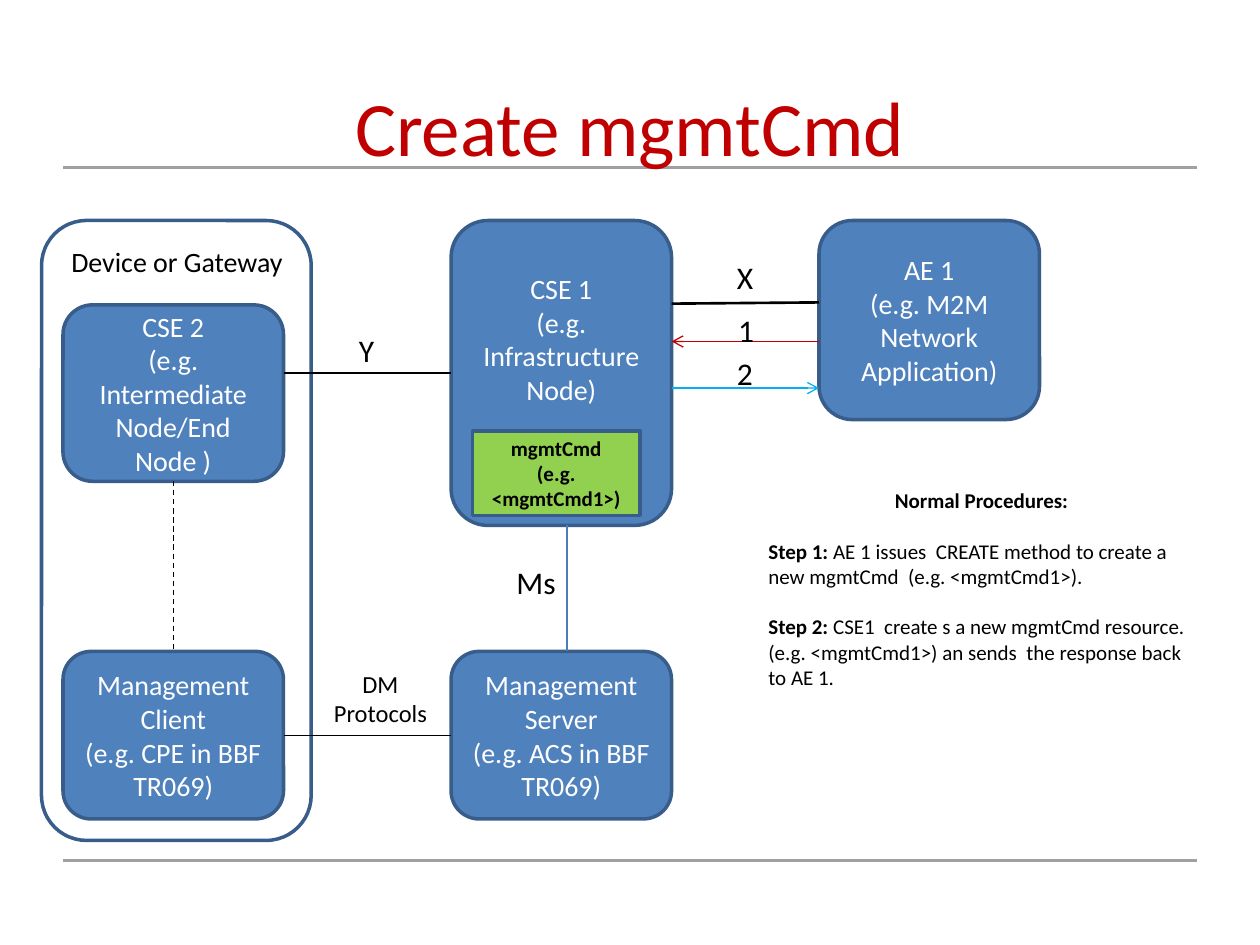
"""Build the Create mgmtCmd slide."""
from lxml.etree import SubElement
from pptx import Presentation
from pptx.dml.color import RGBColor
from pptx.enum.dml import MSO_LINE
from pptx.enum.shapes import MSO_CONNECTOR, MSO_SHAPE
from pptx.enum.text import MSO_ANCHOR, MSO_AUTO_SIZE, PP_ALIGN
from pptx.oxml.ns import qn
from pptx.util import Inches, Pt

HUES = {
    "gray": "A0A0A3", "red": "C00000", "blue": "4F81BD", "edge": "385D8A",
    "link": "4A7EBB", "cyan": "00B0F0", "green": "92D050",
    "black": "000000", "white": "FFFFFF",
}
INK = {name: RGBColor.from_string(code) for name, code in HUES.items()}
MID, LEFT = PP_ALIGN.CENTER, PP_ALIGN.LEFT


def write(frame, paras, size, hue, align=MID, bold=False):
    for i, text in enumerate(paras):
        para = frame.paragraphs[0] if i == 0 else frame.add_paragraph()
        para.alignment = align
        run = para.add_run()
        run.text = text
        look = {"name": "Calibri", "size": Pt(size), "bold": bold}
        for key, value in look.items():
            setattr(run.font, key, value)
        run.font.color.rgb = INK[hue]


def draw(x1, y1, x2, y2, hue, width, arrow=False):
    line = slide.shapes.add_connector(
        MSO_CONNECTOR.STRAIGHT, *map(Inches, (x1, y1, x2, y2)))
    line.line.color.rgb = INK[hue]
    line.line.width = Pt(width)
    if arrow:
        SubElement(line.line._get_or_add_ln(), qn("a:tailEnd"), type="arrow")
    SubElement(line._element.spPr, qn("a:effectLst"))
    return line


deck = Presentation()
deck.slide_width, deck.slide_height = Inches(10), Inches(7.5)
slide = deck.slides.add_slide(deck.slide_layouts[5])

title = slide.shapes.title
place = {"left": 0.5, "top": 0.58, "width": 9, "height": 1.25}
for key, value in place.items():
    setattr(title, key, Inches(value))
title.text_frame.vertical_anchor = MSO_ANCHOR.TOP
title.text_frame.auto_size = MSO_AUTO_SIZE.NONE
write(title.text_frame, ["Create mgmtCmd"], 44, "red")
for y in (6.83, 1.33):
    rule = draw(0.5, y, 9.5, y, "gray", 1.75)
    title._element.addprevious(rule._element)

ROUND, RECT = MSO_SHAPE.ROUNDED_RECTANGLE, MSO_SHAPE.RECTANGLE
nodes = {
    "cse2": (ROUND, 0.5, 2.42, 1.75, 1.4, "blue",
             ["CSE 2", "(e.g. Intermediate Node/End Node )"]),
    "cse1": (ROUND, 3.58, 1.75, 1.75, 2.42, "blue",
             ["CSE 1", "(e.g. Infrastructure Node)"]),
    "app": (ROUND, 6.5, 1.75, 1.75, 1.58, "blue",
            ["AE 1", "(e.g. M2M Network Application)"]),
    "server": (ROUND, 3.58, 5.17, 1.75, 1.33, "blue",
               ["Management Server", "(e.g. ACS in BBF TR069)"]),
    "client": (ROUND, 0.5, 5.17, 1.75, 1.33, "blue",
               ["Management Client", "(e.g. CPE in BBF TR069)"]),
    "device": (ROUND, 0.33, 1.75, 2.14, 4.92, None, []),
    "cmd": (RECT, 3.75, 3.42, 1.33, 0.67, "green",
            ["mgmtCmd", "(e.g. <mgmtCmd1>)"]),
}
box = {}
for name, (kind, x, y, w, h, fill, paras) in nodes.items():
    node = slide.shapes.add_shape(kind, *map(Inches, (x, y, w, h)))
    node.shadow.inherit = False
    node.line.color.rgb = INK["edge"]
    node.line.width = Pt(2)
    if fill:
        node.fill.solid()
        node.fill.fore_color.rgb = INK[fill]
    else:
        node.fill.background()
    if kind == ROUND:
        node.adjustments[0] = 0.167
        write(node.text_frame, paras, 16, "white")
    else:
        write(node.text_frame, paras, 12, "black", bold=True)
    box[name] = node
box["cse1"].text_frame.margin_bottom = Inches(0.59)

draw(2.25, 2.96, 3.58, 2.96, "black", 1.5).end_connect(box["cse1"], 1)
draw(5.33, 2.41, 6.5, 2.4, "black", 1.5)
draw(4.5, 4.17, 4.5, 5.17, "link", 0.75)
draw(6.5, 2.71, 5.33, 2.71, "red", 0.75, True)
draw(5.33, 3.08, 6.5, 3.08, "cyan", 0.75, True)
wire = draw(2.25, 5.83, 3.58, 5.83, "black", 0.75)
wire.begin_connect(box["client"], 3)
wire.end_connect(box["server"], 1)
dash = draw(1.38, 3.82, 1.38, 5.17, "black", 0.75)
dash.line.dash_style = MSO_LINE.DASH
dash.begin_connect(box["cse2"], 2)
dash.end_connect(box["client"], 0)

labels = [
    (2.75, 2.58, 0.32, 0.4, ["Y"], 18, LEFT),
    (5.75, 2, 0.33, 0.4, ["X"], 18, LEFT),
    (4, 4.42, 0.51, 0.4, ["Ms"], 18, LEFT),
    (2.55, 5.26, 0.94, 0.57, ["DM", "Protocols"], 14, MID),
    (0.46, 1.89, 1.89, 0.37, ["Device or Gateway"], 16, MID),
    (5.76, 2.42, 0.32, 0.4, ["1"], 18, LEFT),
    (5.75, 2.76, 0.32, 0.4, ["2"], 18, LEFT),
]
for x, y, w, h, paras, size, align in labels:
    frame = slide.shapes.add_textbox(*map(Inches, (x, y, w, h))).text_frame
    frame.word_wrap = False
    frame.auto_size = MSO_AUTO_SIZE.SHAPE_TO_FIT_TEXT
    write(frame, paras, size, "black", align)

steps = [
    ("Step 1:", " AE 1 issues  CREATE method to create a new mgmtCmd  "
     "(e.g. <mgmtCmd1>)."),
    ("Step 2: ", "CSE1  create s a new mgmtCmd resource. (e.g. <mgmtCmd1>) "
     "an sends  the response back to AE 1."),
]
notes = slide.shapes.add_textbox(*map(Inches, (6, 3.82, 3.58, 1.7))).text_frame
notes.word_wrap = True
notes.auto_size = MSO_AUTO_SIZE.SHAPE_TO_FIT_TEXT
heads = ["Normal Procedures:"] + [head for head, _ in steps]
write(notes, heads, 12, "black", LEFT, True)
notes.paragraphs[0].alignment = MID
for para, (_, text) in zip(notes.paragraphs[1:], steps):
    para.space_before = Pt(14.5)
    run = para.add_run()
    run.text = text
    look = {"name": "Calibri", "size": Pt(12), "bold": False}
    for key, value in look.items():
        setattr(run.font, key, value)
    run.font.color.rgb = INK["black"]

deck.save("out.pptx")
